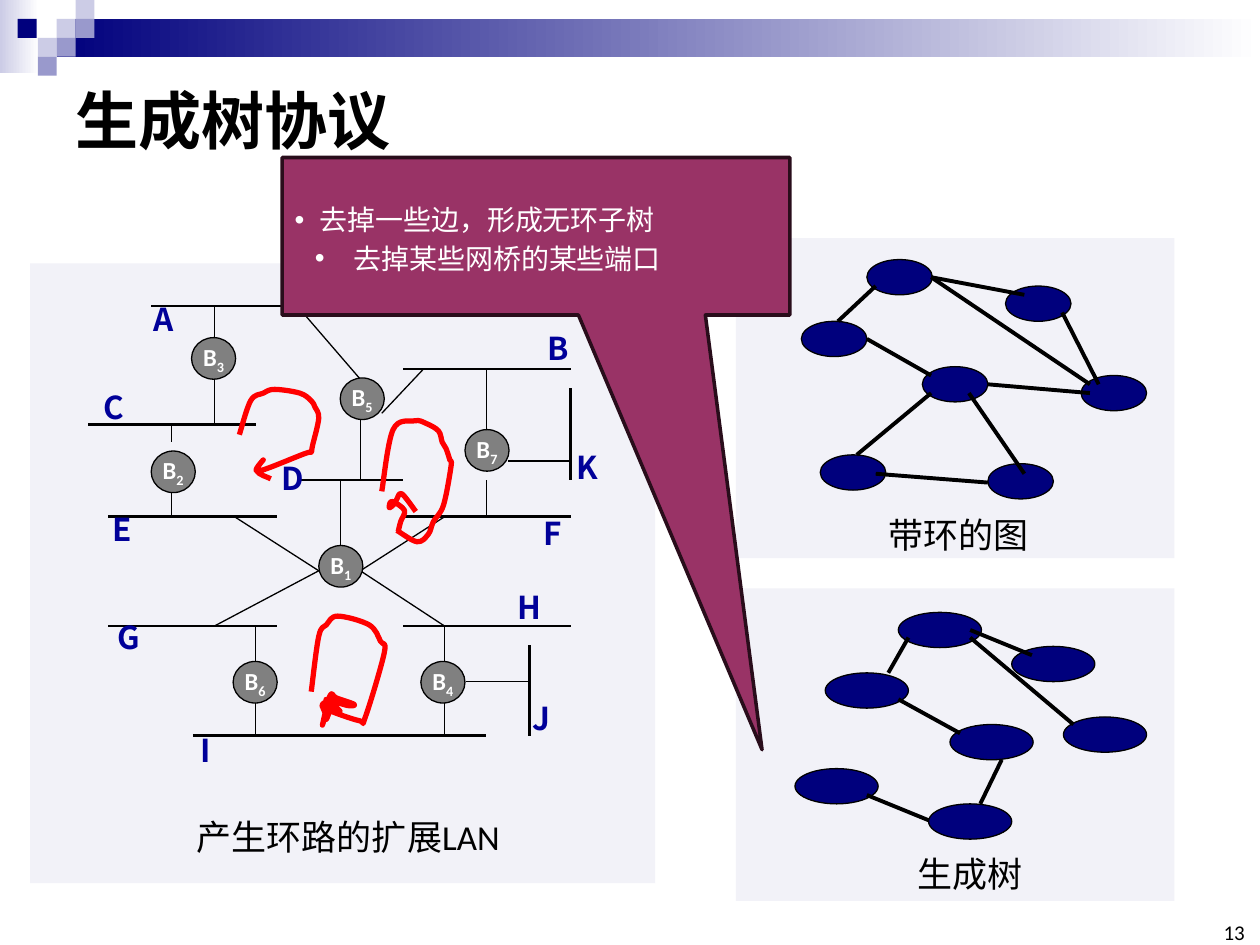
from pptx import Presentation, util as u
from pptx.dml.color import RGBColor
from pptx.enum import shapes, text
from pptx.oxml.ns import qn
from lxml import etree

NAVY, PALE, MID, PANEL = "00007D", "CCCCE6", "9999CC", "F2F2F8"
BLACK, WHITE, BLUE, RED = "000000", "FFFFFF", "000099", "FF0000"
CJK = "Noto Sans CJK SC"
KIND = shapes.MSO_SHAPE
ALIGN = {"l": text.PP_ALIGN.LEFT, "c": text.PP_ALIGN.CENTER, "r": text.PP_ALIGN.RIGHT}
ANCHOR = {"t": text.MSO_ANCHOR.TOP, "m": text.MSO_ANCHOR.MIDDLE, "b": text.MSO_ANCHOR.BOTTOM}


def inch(n):
    return u.Cm(n * 2.54)


def color(code):
    return RGBColor.from_string(code)


class Deck:
    def __init__(self, wide, high):
        self.prs = Presentation()
        self.prs.slide_width, self.prs.slide_height = inch(wide), inch(high)
        self.slide = self.prs.slides.add_slide(self.prs.slide_layouts[6])
        self.items = self.slide.shapes
        self.font = "Calibri"

    def group(self):
        self.items = self.slide.shapes.add_group_shape().shapes

    def ungroup(self):
        self.items = self.slide.shapes

    def paint(self, shape, fill, line=None, width=0.75):
        shape.shadow.inherit = False
        if fill is None:
            shape.fill.background()
        else:
            shape.fill.solid()
            shape.fill.fore_color.rgb = color(fill)
        if line:
            shape.line.color.rgb = color(line)
            shape.line.width = u.Pt(width)
        else:
            shape.line.fill.background()
        return shape

    def shape(self, box, fill, kind=KIND.RECTANGLE, line=None, width=0.75):
        return self.paint(self.items.add_shape(kind, *map(inch, box)), fill, line, width)

    def fade(self, box, start):
        rect = self.shape(box, start)
        rect.fill.gradient()
        rect.fill.gradient_angle = 0
        for stop, code in zip(rect.fill.gradient_stops, (start, WHITE)):
            stop.color.rgb = color(code)

    def line(self, ends, width):
        x, y, p, q = map(inch, ends)
        link = self.items.add_connector(shapes.MSO_CONNECTOR.STRAIGHT, x, y, p, q)
        link.line.color.rgb = color(BLACK)
        link.line.width = u.Pt(width)
        etree.SubElement(link._element.spPr, qn("a:effectLst"))

    def curve(self, dots):
        spots = [(inch(x), inch(y)) for x, y in dots]
        left, top = (min(axis) for axis in zip(*spots))
        pen = self.items.build_freeform(*spots[0])
        pen.add_line_segments(spots[1:], close=False)
        form = self.paint(pen.convert_to_shape(), None, RED, 3)
        pad = [spots[0], *spots, spots[-1]]
        legs = list(form._element.iter(qn("a:lnTo")))
        for leg, a, b, c, d in zip(legs, pad, pad[1:], pad[2:], pad[3:]):
            bend = etree.Element(qn("a:cubicBezTo"))
            out = [b[i] + (c[i] - a[i]) / 6 for i in (0, 1)]
            back = [c[i] - (d[i] - b[i]) / 6 for i in (0, 1)]
            for x, y in (out, back, c):
                etree.SubElement(bend, qn("a:pt"), x=str(round(x - left)), y=str(round(y - top)))
            leg.getparent().replace(leg, bend)

    def frame(self, shape, anchor="t", inset=True, wrap=True):
        area = shape.text_frame
        area.word_wrap = wrap
        area.vertical_anchor = ANCHOR[anchor]
        if not inset:
            area.margin_left = area.margin_right = area.margin_top = area.margin_bottom = 0
        return area

    def run(self, para, words, size, code, bold=False, font=None, base=None):
        run = para.add_run()
        run.text = words
        run.font.size, run.font.bold = u.Pt(size), bold
        run.font.name = font or self.font
        run.font.color.rgb = color(code)
        props = run._r.get_or_add_rPr()
        etree.SubElement(props, qn("a:ea")).set("typeface", CJK)
        if base:
            props.set("baseline", str(base * 1000))

    def label(self, box, words, size, code=BLACK, align="c", bold=False, font=None, **area):
        para = self.frame(self.items.add_textbox(*map(inch, box)), **area).paragraphs[0]
        para.alignment = ALIGN[align]
        self.run(para, words, size, code, bold, font)

    def bridge(self, x, y, num):
        disc = self.shape((x, y, 0.35, 0.33), "808080", KIND.OVAL, BLACK)
        para = self.frame(disc, "m", False, False).paragraphs[0]
        para.alignment = ALIGN["c"]
        self.run(para, "B", 14, WHITE, True)
        self.run(para, num, 14, WHITE, True, base=-25)

    def graph(self, panel, wide, nodes, edges):
        self.group()
        self.shape(panel, PANEL)
        for x, y in nodes:
            self.shape((x, y, wide, 0.28), NAVY, KIND.OVAL, BLACK)
        for ends in edges:
            self.line(ends, 2.25)

    def callout(self, box, tip, rows):
        note = self.shape(box, "993366", KIND.RECTANGULAR_CALLOUT, "290D1B", 2)
        note.adjustments[0], note.adjustments[1] = tip
        area = self.frame(note, "m")
        for i, (words, left, hang) in enumerate(rows):
            para = area.add_paragraph() if i else area.paragraphs[0]
            para.level, para.alignment = i, ALIGN["l"]
            para.line_spacing = u.Pt(22)
            props = para._p.get_or_add_pPr()
            props.set("marL", str(inch(left)))
            props.set("indent", str(-inch(hang)))
            etree.SubElement(props, qn("a:buFont")).set("typeface", "Arial")
            etree.SubElement(props, qn("a:buChar")).set("char", "•")
            self.run(para, words, 16, WHITE)


deck = Deck(10, 7.5)

deck.group()
deck.fade((0, 0, 0.31, 0.58), PALE)
deck.fade((0.45, 0.15, 9.55, 0.3), NAVY)
for x, y, fill in ((0.45, 0.15, PALE), (0.6, 0, PALE), (0.6, 0.15, MID), (0.3, 0.3, PALE),
                   (0.14, 0.15, NAVY), (0.45, 0.3, MID), (0.3, 0.45, MID)):
    deck.shape((x, y, 0.15, 0.15), fill)
deck.ungroup()
deck.label((0.5, 0.5, 9, 0.89), "生成树协议", 36, align="l", bold=True, font=CJK, anchor="m")
deck.label((9.65, 7.33, 0.23, 0.17), "13", 12, align="r", anchor="b", inset=False)

deck.graph((5.84, 1.89, 3.48, 2.54), 0.52,
           ((6.88, 2.06), (7.98, 2.27), (6.36, 2.55), (7.32, 2.91),
            (8.58, 2.98), (7.84, 3.68), (6.51, 3.61)),
           ((6.8, 3.61, 7.39, 3.12), (6.88, 2.69, 7.39, 2.98), (6.65, 2.55, 6.95, 2.27),
            (7.39, 2.2, 8.13, 2.34), (8.43, 2.48, 8.72, 3.05), (6.95, 3.76, 7.84, 3.83),
            (7.69, 3.12, 8.13, 3.76), (7.84, 3.05, 8.65, 3.12), (7.39, 2.2, 8.65, 3.05)))
deck.label((6.48, 4.03, 2.25, 0.43), "带环的图", 20)

deck.graph((5.84, 4.67, 3.48, 2.48), 0.66,
           ((7.13, 4.86), (8.03, 5.13), (6.55, 5.34), (8.44, 5.69),
            (7.54, 5.75), (6.31, 6.1), (7.37, 6.38)),
           ((7.7, 5, 8.19, 5.2), (7.7, 5.06, 8.52, 5.75), (7.21, 5.06, 7.05, 5.34),
            (7.13, 5.55, 7.62, 5.82), (7.95, 6.03, 7.78, 6.38), (6.88, 6.31, 7.37, 6.51)))
deck.label((7.18, 6.72, 1.04, 0.44), "生成树", 20)

deck.group()
deck.shape((0.24, 2.09, 4.96, 4.92), PANEL)
deck.label((1.1, 6.42, 3.33, 0.44), "产生环路的扩展LAN", 20)
for x, end, y in ((1.2, 3.03, 2.43), (3.2, 4.53, 2.93), (0.7, 2.03, 3.37), (2.36, 3.2, 3.81),
                  (3.2, 4.53, 4.1), (0.86, 2.2, 4.1), (0.86, 2.2, 4.97), (3.2, 4.53, 4.97),
                  (1.53, 3.86, 5.84)):
    deck.line((x, y, end, y), 1.5)
for x, y, end in ((4.53, 3.08, 3.81), (4.2, 5.12, 5.84)):
    deck.line((x, y, x, end), 1.5)
for x, y, end in ((1.7, 2.43, 2.72), (1.7, 2.96, 3.37), (2.86, 3.28, 3.81), (1.36, 3.37, 3.51),
                  (1.36, 3.81, 4.1), (2.7, 3.81, 4.39), (3.86, 2.93, 3.51), (3.86, 3.81, 4.1),
                  (2.03, 4.97, 5.26), (2.03, 5.55, 5.84), (3.53, 4.97, 5.26), (3.53, 5.55, 5.84)):
    deck.line((x, y, x, end), 0.75)
for ends in ((2.36, 2.43, 2.86, 3.01), (3.36, 2.93, 3.03, 3.28), (1.86, 4.1, 2.53, 4.53),
             (4.03, 3.66, 4.53, 3.66), (2.86, 4.53, 3.53, 4.1), (2.53, 4.53, 1.7, 4.97),
             (2.86, 4.53, 3.53, 4.97), (3.7, 5.41, 4.2, 5.41)):
    deck.line(ends, 0.75)
for name, x, y, wide in (("A", 1.05, 2.33, 0.5), ("D", 2.03, 3.59, 0.58), ("K", 4.45, 3.51, 0.42),
                         ("F", 4.14, 4.03, 0.5), ("H", 3.95, 4.62, 0.5), ("J", 4.13, 5.5, 0.33),
                         ("I", 1.34, 5.75, 0.58), ("E", 0.76, 4, 0.42), ("G", 0.69, 4.86, 0.67),
                         ("B", 4.14, 2.56, 0.58), ("C", 0.61, 3.03, 0.58)):
    deck.label((x, y, wide, 0.4), name, 18, BLUE, bold=True, font=CJK)

for dots in (
    ((1.9, 3.45), (1.99, 3.18), (2.09, 3.12), (2.18, 3.09), (2.38, 3.12), (2.47, 3.18),
     (2.5, 3.23), (2.53, 3.32), (2.48, 3.54), (2.47, 3.59), (2.42, 3.6), (2.05, 3.74),
     (2.09, 3.65), (2.04, 3.74), (2.15, 3.8)),
    ((3.03, 3.9), (3.12, 3.41), (3.29, 3.34), (3.38, 3.36), (3.48, 3.42), (3.51, 3.51),
     (3.54, 3.56), (3.57, 3.65), (3.58, 3.7), (3.52, 4.01), (3.44, 4.14), (3.4, 4.24),
     (3.31, 4.3), (3.15, 4.21)),
    ((3.16, 4.22), (3.18, 4.14), (3.21, 4.05), (3.11, 3.98), (3.09, 4.03),
     (3.13, 4), (3.15, 3.96), (3.19, 3.92), (3.3, 4.06)),
    ((2.47, 5.49), (2.53, 5.05), (2.59, 4.96), (2.68, 4.89), (2.93, 4.96), (3.02, 5.09),
     (3.05, 5.18), (2.9, 5.69), (2.85, 5.72), (2.59, 5.63), (2.56, 5.59),
     (2.61, 5.57), (2.62, 5.62), (2.59, 5.71), (2.58, 5.66), (2.56, 5.6), (2.61, 5.62),
     (2.7, 5.65), (2.64, 5.59), (2.59, 5.55), (2.76, 5.6), (2.81, 5.59), (2.67, 5.54),
     (2.62, 5.52), (2.56, 5.75), (2.58, 5.69), (2.61, 5.62)),
):
    deck.curve(dots)

for spot in ((1.52, 2.68, "3"), (2.7, 3, "5"), (1.2, 3.58, "2"), (2.53, 4.33, "1"),
             (1.85, 5.25, "6"), (3.34, 5.25, "4"), (3.69, 3.41, "7")):
    deck.bridge(*spot)

deck.ungroup()
deck.callout((2.24, 1.25, 4.03, 1.25), (0.445, 3.26),
             (("去掉一些边，形成无环子树", 0.2, 0.2), ("去掉某些网桥的某些端口", 0.47, 0.31)))

deck.prs.save("out.pptx")
